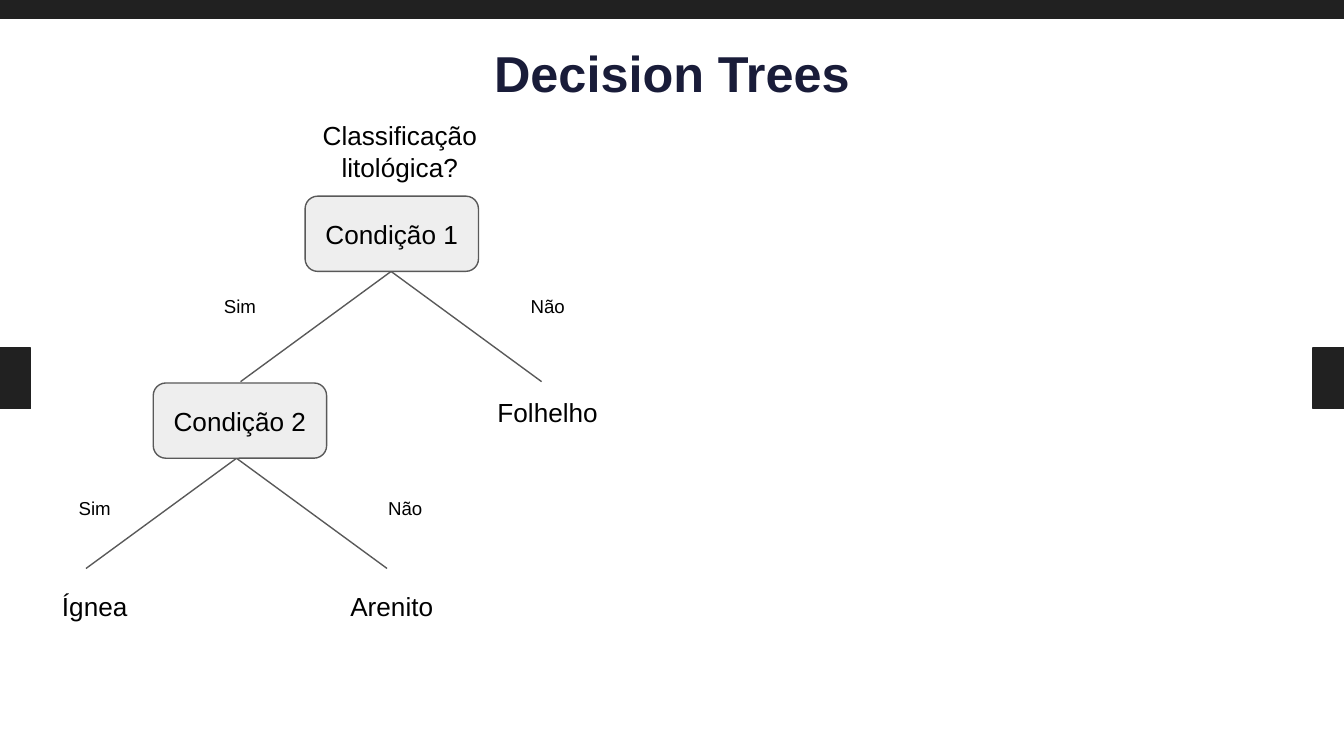
"""Build the Decision Trees slide with a two-level lithology tree."""
from pptx import Presentation
from pptx.dml.color import RGBColor
from pptx.enum.shapes import MSO_CONNECTOR, MSO_SHAPE
from pptx.enum.text import MSO_ANCHOR, MSO_AUTO_SIZE, PP_ALIGN
from pptx.oxml.ns import qn
from pptx.util import Inches, Pt
from lxml import etree

RECT, ROUNDED = MSO_SHAPE.RECTANGLE, MSO_SHAPE.ROUNDED_RECTANGLE
STRAIGHT = MSO_CONNECTOR.STRAIGHT
TOP, MIDDLE = MSO_ANCHOR.TOP, MSO_ANCHOR.MIDDLE
CENTER = PP_ALIGN.CENTER
NO_FIT, GROW = MSO_AUTO_SIZE.NONE, MSO_AUTO_SIZE.SHAPE_TO_FIT_TEXT
NAVY = RGBColor(0x19, 0x1C, 0x39)
DARK = RGBColor(0x21, 0x21, 0x21)
PALE = RGBColor(0xEE, 0xEE, 0xEE)
GRAY = RGBColor(0x59, 0x59, 0x59)
BLACK = RGBColor(0, 0, 0)

SLIDE_W = 10
NODE_W, NODE_H = 1.29, 0.56
BRANCH_DX, BRANCH_DY = 1.12, 0.82

TITLE = "Decision Trees"
BARS = [
    (0, 2.59, 0.23, 0.45),
    (SLIDE_W - 0.23, 2.59, 0.23, 0.45),
    (0, 0, SLIDE_W, 0.14),
]
CONDITIONS = [("Condição 1", 2.27, 1.46), ("Condição 2", 1.14, 2.85)]
FORKS = [(2.91, 2.02), (1.76, 3.41)]
LABELS = [
    ("Arenito", 2.27, 4.29, NODE_W, 0.44, 14),
    ("Ígnea", 0.06, 4.29, NODE_W, 0.44, 14),
    ("Folhelho", 3.43, 2.85, NODE_W, 0.44, 14),
    ("Sim", 1.14, 2.11, NODE_W, 0.37, 10),
    ("Não", 2.37, 3.61, NODE_W, 0.37, 10),
    ("Não", 3.43, 2.11, NODE_W, 0.37, 10),
    ("Sim", 0.06, 3.61, NODE_W, 0.37, 10),
    ("Classificação litológica?", 1.88, 0.79, 2.19, 0.67, 14),
]


def write(shape, text, size, color=BLACK, bold=False, anchor=MIDDLE, fit=NO_FIT):
    tf = shape.text_frame
    tf.word_wrap = True
    tf.auto_size = fit
    tf.vertical_anchor = anchor
    tf.margin_left = tf.margin_right = Inches(0.1)
    tf.margin_top = tf.margin_bottom = Inches(0.1)
    p = tf.paragraphs[0]
    p.text = text
    p.alignment = CENTER
    p.font.name = "Arial"
    p.font.size = Pt(size)
    p.font.bold = bold
    p.font.color.rgb = color


def add_box(s, kind, box, fill, line):
    sp = s.shapes.add_shape(kind, *map(Inches, box))
    sp.shadow.inherit = False
    sp.fill.solid()
    sp.fill.fore_color.rgb = fill
    sp.line.color.rgb = line
    sp.line.width = Pt(0.75)
    return sp


def add_branch(s, x, y, dx):
    ends = map(Inches, (x, y, x + dx, y + BRANCH_DY))
    line = s.shapes.add_connector(STRAIGHT, *ends)
    line.line.color.rgb = GRAY
    line.line.width = Pt(0.75)
    etree.SubElement(line._element.spPr, qn("a:effectLst"))


def main():
    prs = Presentation()
    prs.slide_width = Inches(SLIDE_W)
    prs.slide_height = prs.slide_width * 9 // 16
    s = prs.slides.add_slide(prs.slide_layouts[5])

    title = s.shapes.title
    title.left, title.top = Inches(0.34), Inches(0.27)
    title.width, title.height = Inches(9.32), Inches(0.54)
    write(title, TITLE, 27, NAVY, True)

    for bar in BARS:
        add_box(s, RECT, bar, DARK, DARK)
    for x, y in FORKS:
        for dx in (-BRANCH_DX, BRANCH_DX):
            add_branch(s, x, y, dx)
    for text, x, y in CONDITIONS:
        node = add_box(s, ROUNDED, (x, y, NODE_W, NODE_H), PALE, GRAY)
        write(node, text, 14)
    for text, x, y, w, h, size in LABELS:
        label = s.shapes.add_textbox(*map(Inches, (x, y, w, h)))
        write(label, text, size, anchor=TOP, fit=GROW)

    prs.save("out.pptx")


if __name__ == "__main__":
    main()
